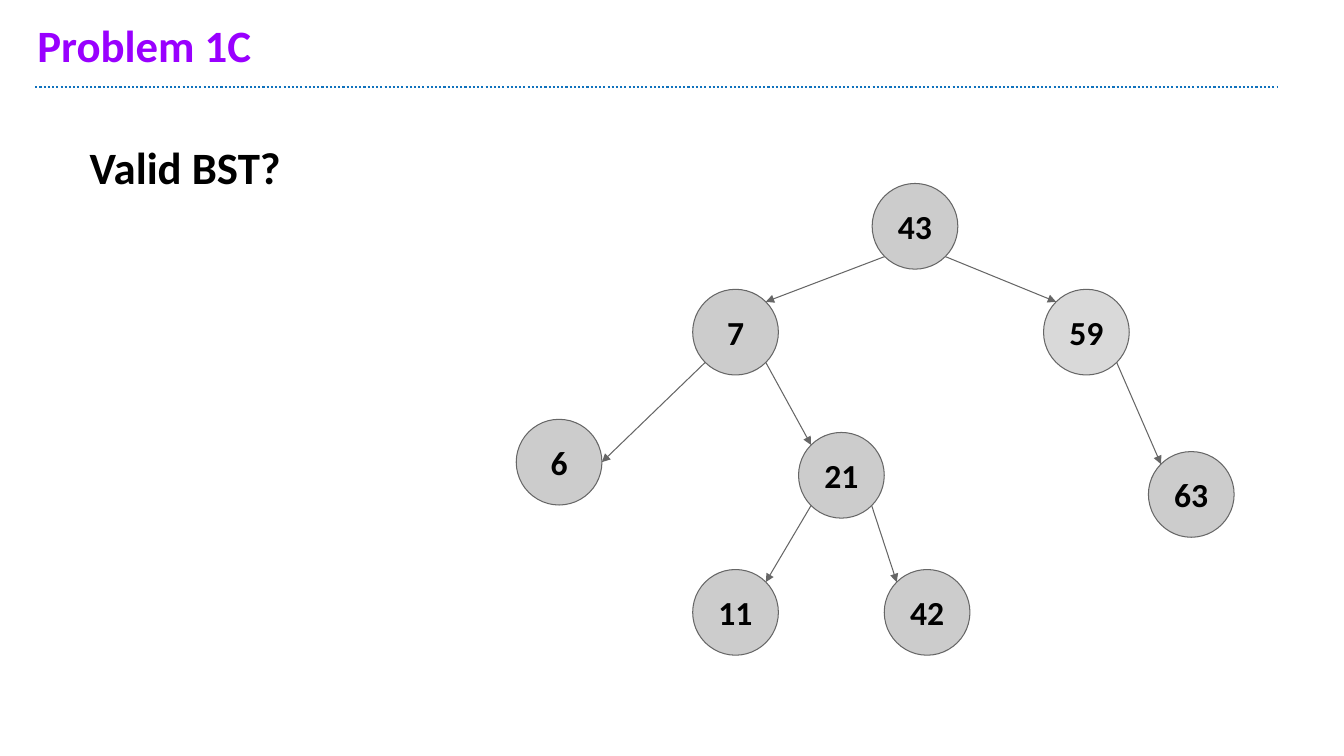
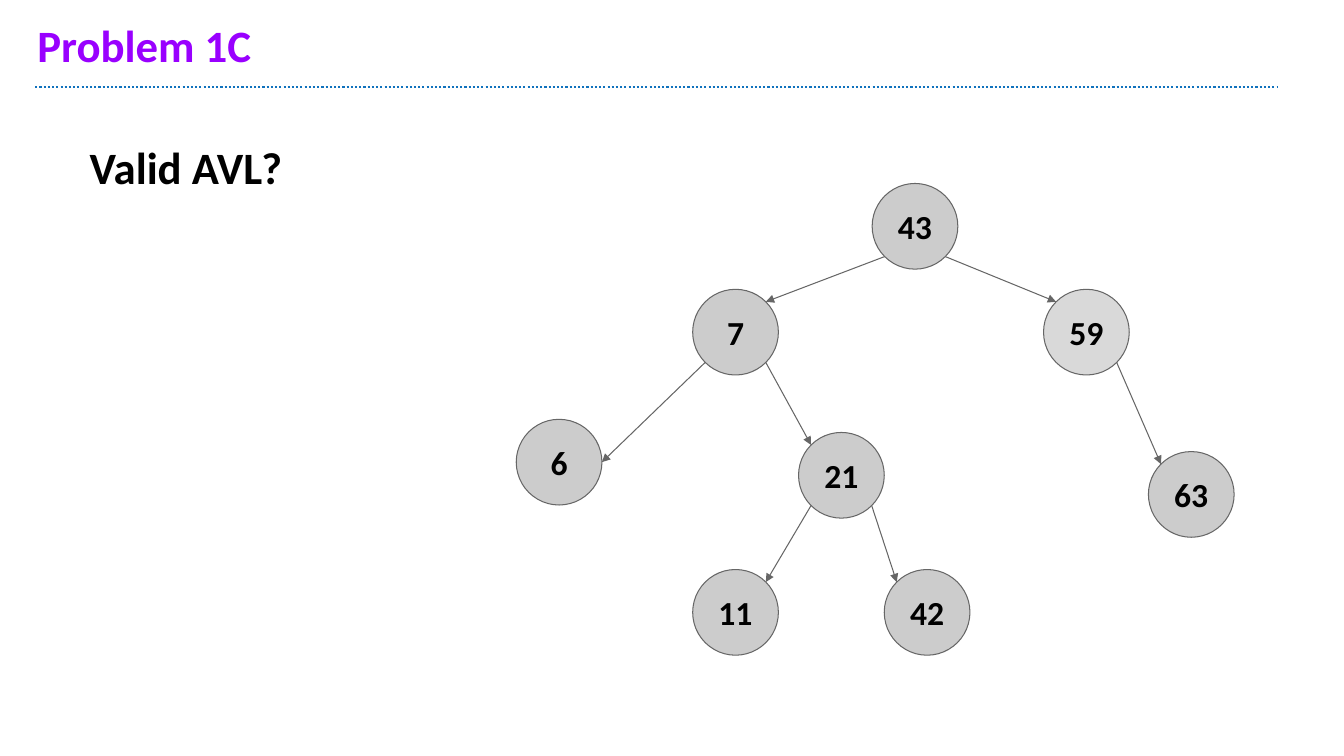
import math
from dataclasses import dataclass

from lxml import etree
from pptx import Presentation
from pptx.dml.color import RGBColor
from pptx.enum import dml, shapes, text
from pptx.oxml import ns
from pptx.util import Inches, Pt


@dataclass(frozen=True)
class Theme:
    font: str = "Calibri"
    title: str = "9900FF"
    rule: str = "1072BD"
    ink: str = "000000"
    outline: str = "666666"
    node: str = "CCCCCC"
    light_node: str = "D9D9D9"
    heading_size: int = 32
    node_size: int = 24
    rule_width: float = 1.5
    line_width: float = 0.75
    inset: float = 0.13


THEME = Theme()
TITLE = "Problem 1C"
QUESTIONS = ["Valid BST?", "Valid AVL?"]

DIAMETER = 0.85
# Key: left and top of the circle, in inches
NODES = {
    43: (8.65, 1.82),
    7: (6.87, 2.87),
    59: (10.35, 2.87),
    6: (5.12, 4.16),
    21: (7.92, 4.29),
    63: (11.39, 4.48),
    11: (6.87, 5.65),
    42: (8.77, 5.65),
}
LIGHT_NODES = {59}

# Degrees clockwise from the right-hand point of a circle
RIGHT, LOWER_RIGHT, LOWER_LEFT, UPPER_LEFT, UPPER_RIGHT = 0, 45, 135, 225, 315
LEFT_BRANCH = (LOWER_LEFT, UPPER_RIGHT)
RIGHT_BRANCH = (LOWER_RIGHT, UPPER_LEFT)
EDGES = [
    (43, 7, LEFT_BRANCH),
    (43, 59, RIGHT_BRANCH),
    (7, 6, (LOWER_LEFT, RIGHT)),
    (7, 21, RIGHT_BRANCH),
    (59, 63, RIGHT_BRANCH),
    (21, 11, LEFT_BRANCH),
    (21, 42, RIGHT_BRANCH),
]


def rgb(value):
    return RGBColor.from_string(value)


def write(shape, words, size, color, anchor, align=text.PP_ALIGN.LEFT, wrap=True):
    frame = shape.text_frame
    frame.word_wrap = wrap
    frame.vertical_anchor = anchor
    frame.margin_left = frame.margin_right = Inches(THEME.inset)
    frame.margin_top = frame.margin_bottom = Inches(THEME.inset)
    para = frame.paragraphs[0]
    para.alignment = align
    span = para.add_run()
    span.text = words
    span.font.name = THEME.font
    span.font.size = Pt(size)
    span.font.bold = True
    span.font.color.rgb = rgb(color)
    return para


def add_heading(page, place, words, color, anchor):
    box = page.shapes.add_textbox(*map(Inches, place))
    return write(box, words, THEME.heading_size, color, anchor)


def add_line(page, start, end, color, width):
    line = page.shapes.add_connector(
        shapes.MSO_CONNECTOR.STRAIGHT, *map(Inches, (*start, *end)))
    line.line.color.rgb = rgb(color)
    line.line.width = Pt(width)
    etree.SubElement(line._element.spPr, ns.qn("a:effectLst"))
    return line


def add_header(page):
    rule = add_line(page, (0.35, 0.86), (12.67, 0.86), THEME.rule, THEME.rule_width)
    rule.line.dash_style = dml.MSO_LINE.ROUND_DOT
    para = add_heading(page, (0.24, 0.13, 12, 0.72), TITLE, THEME.title,
                       text.MSO_ANCHOR.BOTTOM)
    para.line_spacing = 0.9


def rim_point(key, degrees):
    """Return the point on a node's circle at the given angle."""
    left, top = NODES[key]
    radius = DIAMETER / 2
    angle = math.radians(degrees)
    return (left + radius * (1 + math.cos(angle)),
            top + radius * (1 + math.sin(angle)))


def add_node(page, key):
    circle = page.shapes.add_shape(
        shapes.MSO_SHAPE.OVAL, *map(Inches, (*NODES[key], DIAMETER, DIAMETER)))
    circle.shadow.inherit = False
    circle.fill.solid()
    circle.fill.fore_color.rgb = rgb(
        THEME.light_node if key in LIGHT_NODES else THEME.node)
    circle.line.color.rgb = rgb(THEME.outline)
    circle.line.width = Pt(THEME.line_width)
    write(circle, str(key), THEME.node_size, THEME.ink, text.MSO_ANCHOR.MIDDLE,
          text.PP_ALIGN.CENTER, wrap=False)


def add_edge(page, parent, child, branch):
    leave, arrive = branch
    arrow = add_line(page, rim_point(parent, leave), rim_point(child, arrive),
                     THEME.outline, THEME.line_width)
    etree.SubElement(arrow.line._get_or_add_ln(), ns.qn("a:tailEnd"), type="triangle")


def add_tree(page):
    for key in NODES:
        add_node(page, key)
    for edge in EDGES:
        add_edge(page, *edge)


def main():
    deck = Presentation()
    deck.slide_width, deck.slide_height = Inches(13.33), Inches(7.5)
    for question in QUESTIONS:
        page = deck.slides.add_slide(deck.slide_layouts[6])
        add_header(page)
        add_heading(page, (0.76, 1.26, 3.37, 1.34), question, THEME.ink,
                    text.MSO_ANCHOR.TOP)
        add_tree(page)
    deck.save("out.pptx")


if __name__ == "__main__":
    main()
